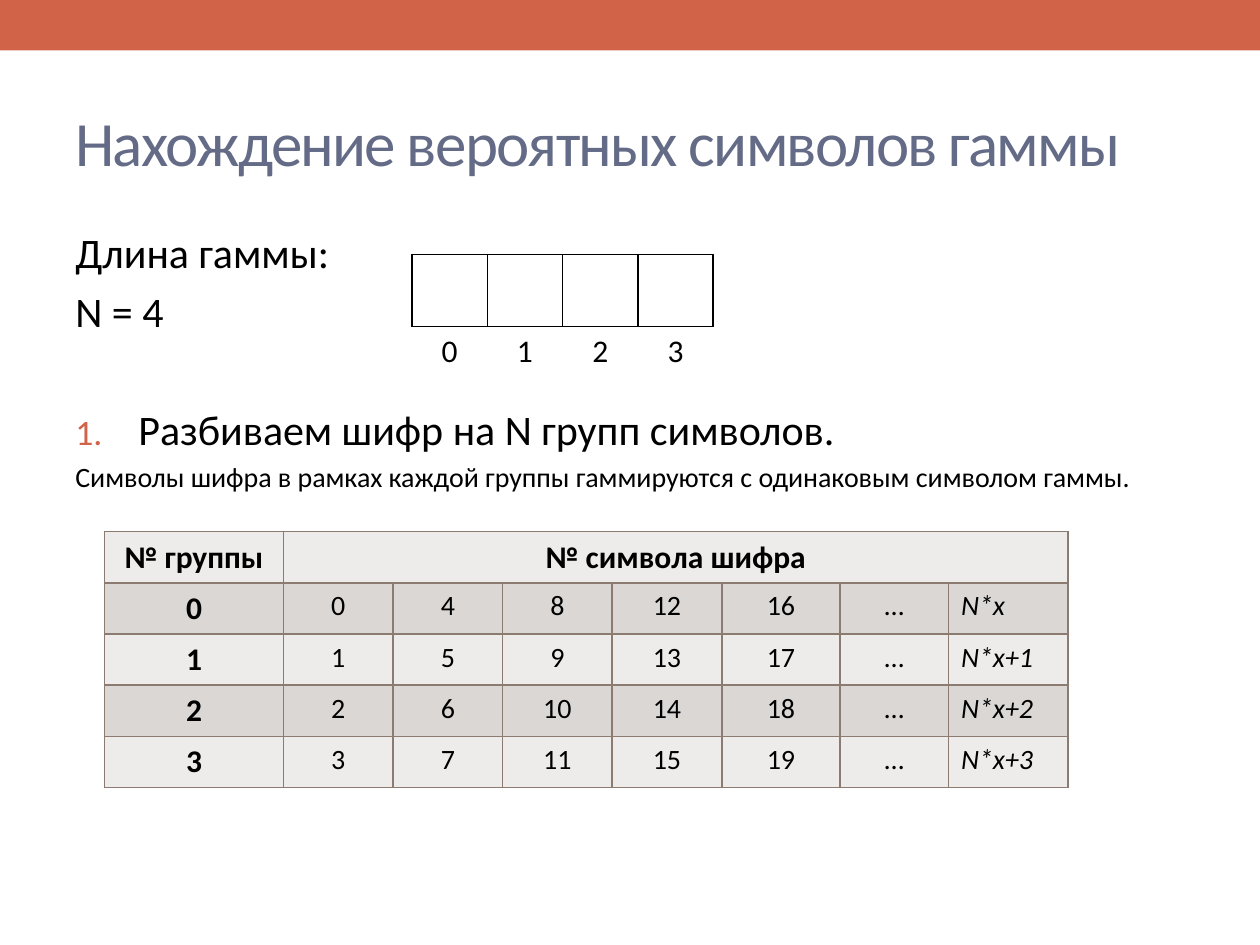
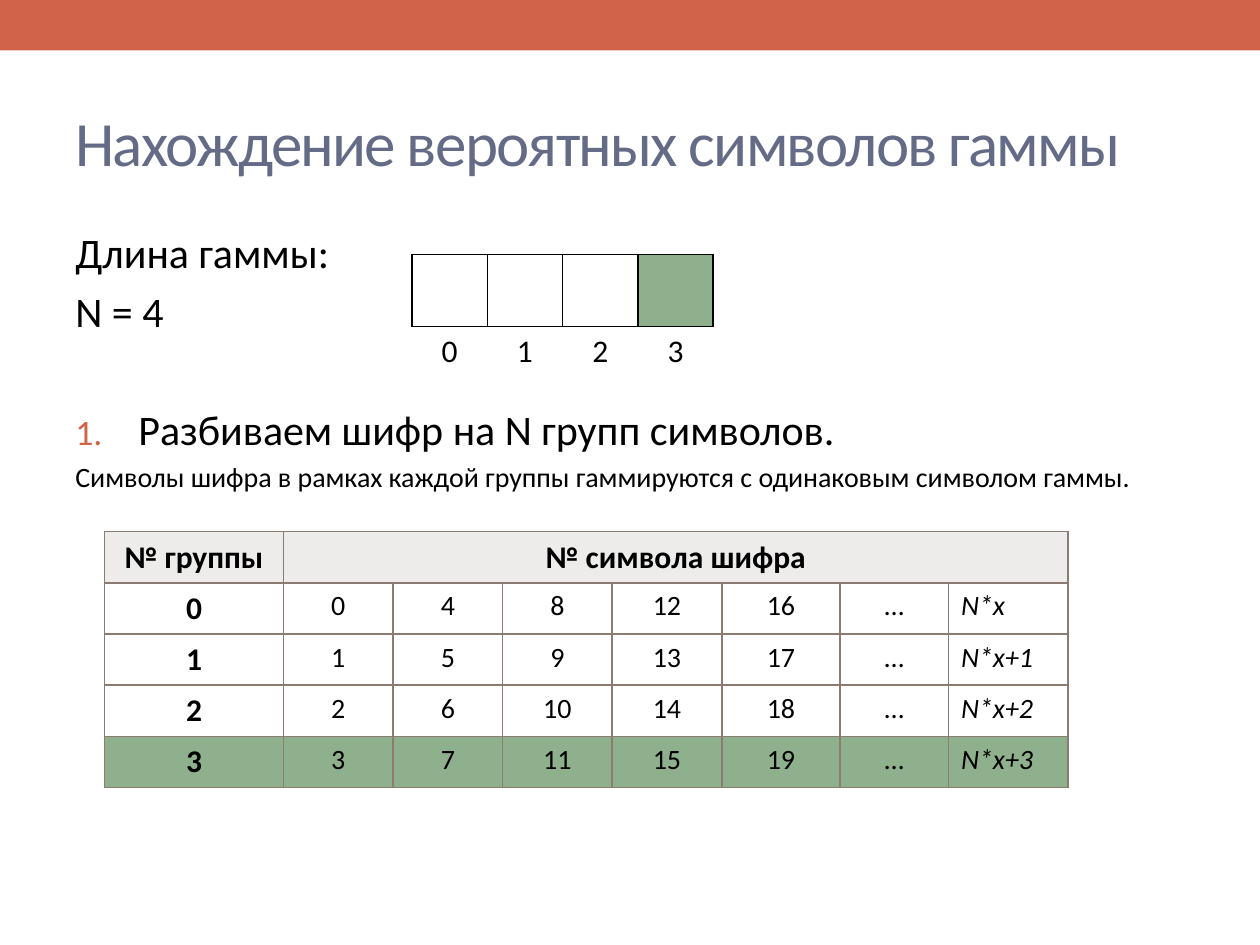
from lxml.etree import SubElement
from pptx import Presentation
from pptx.dml.color import RGBColor
from pptx.enum.shapes import MSO_SHAPE as Preset
from pptx.enum.text import MSO_ANCHOR as Anchor, PP_ALIGN as Align
from pptx.oxml import parse_xml
from pptx.oxml.ns import qn
from pptx.util import Inches, Pt

WIDTH, HEIGHT = Inches(10), Inches(7.5)
COLUMNS = 100
FONT = "Calibri"
NO_GRID_STYLE = "{2D5ABB26-0587-4C30-8999-92F81FD0307C}"
DRAWING_NS = "http://schemas.openxmlformats.org/drawingml/2006/main"

BLACK = RGBColor(0x00, 0x00, 0x00)
ACCENT = RGBColor(0xD1, 0x63, 0x49)
TITLE_BLUE = RGBColor(0x64, 0x6B, 0x86)
GRID_BROWN = RGBColor(0x8C, 0x7B, 0x70)
LIGHT_BAND = RGBColor(0xEE, 0xEC, 0xEB)
DARK_BAND = RGBColor(0xDA, 0xD7, 0xD5)
HIGHLIGHT = RGBColor(0x8F, 0xB0, 0x8C)

GAMMA_LENGTH = 4
SYMBOLS_SHOWN = 5
GROUP_COLUMNS = [14.2, 8.7, 8.7, 8.7, 8.7, 9.4, 8.6, 9.5]
PLAIN_BANDS = [None] * GAMMA_LENGTH


def units(count):
    return round(WIDTH * count / COLUMNS)


def place(*counts):
    return [units(count) for count in counts]


def write(frame, text, size=18, color=BLACK, bold=False, italic=False,
          align=Align.LEFT, before=0, spacing=None, number=None):
    paragraph = frame.paragraphs[0]
    if paragraph.runs:
        paragraph = frame.add_paragraph()
    paragraph.alignment = align
    paragraph.space_before = Pt(before)
    run = paragraph.add_run()
    run.text = text
    run.font.name = FONT
    run.font.size = Pt(size)
    run.font.color.rgb = color
    run.font.bold = bold
    run.font.italic = italic
    if spacing is not None:
        run.font._element.set("spc", str(round(spacing * 100)))
    if number is not None:
        number_paragraph(paragraph, number)


def number_paragraph(paragraph, number):
    properties = paragraph._p.get_or_add_pPr()
    properties.set("marL", str(units(5)))
    properties.set("indent", str(units(-5)))
    tint = SubElement(properties, qn("a:buClr"))
    SubElement(tint, qn("a:srgbClr"), val=str(ACCENT))
    SubElement(properties, qn("a:buSzPct"), val="85000")
    SubElement(properties, qn("a:buFont"), typeface=FONT)
    SubElement(properties, qn("a:buAutoNum"), type="arabicPeriod",
               startAt=str(number))


def add_text_area(slide, area, anchor=Anchor.TOP):
    frame = slide.shapes.add_textbox(*place(*area)).text_frame
    frame.word_wrap = True
    frame.vertical_anchor = anchor
    return frame


def add_grid(slide, left, top, columns, rows):
    area = place(left, top, sum(columns), sum(rows))
    grid = slide.shapes.add_table(len(rows), len(columns), *area).table
    grid.first_row = grid.horz_banding = False
    grid._tbl.tblPr.find(qn("a:tableStyleId")).text = NO_GRID_STYLE
    for column, width in zip(grid.columns, columns):
        column.width = units(width)
    for row, height in zip(grid.rows, rows):
        row.height = units(height)
    return grid


def style_cell(cell, fill, border, sides="LRTB"):
    if fill is None:
        cell.fill.background()
    else:
        cell.fill.solid()
        cell.fill.fore_color.rgb = fill
    properties = cell._tc.get_or_add_tcPr()
    for position, side in enumerate(sides):
        properties.insert(position, parse_xml(
            f'<a:ln{side} xmlns:a="{DRAWING_NS}" w="12700"><a:solidFill>'
            f'<a:srgbClr val="{border}"/></a:solidFill></a:ln{side}>'))


def add_header(slide):
    band = slide.shapes.add_shape(Preset.RECTANGLE, *place(0, 0, COLUMNS, 4))
    band.shadow.inherit = False
    band.fill.solid()
    band.fill.fore_color.rgb = ACCENT
    band.line.fill.background()
    title = add_text_area(slide, (5, 5.8, 90, 10.8), Anchor.MIDDLE)
    write(title, "Нахождение вероятных символов гаммы", size=36,
          color=TITLE_BLUE, spacing=-1)


def add_explanation(slide):
    body = add_text_area(slide, (5, 17.5, 90, 53.3))
    write(body, "Длина гаммы:", size=24, before=4.8)
    write(body, f"N = {GAMMA_LENGTH}", size=24, before=4.8)
    write(body, "Разбиваем шифр на N групп символов.", size=24,
          before=38.9, number=1)
    write(body, "Символы шифра в рамках каждой группы гаммируются "
          "с одинаковым символом гаммы.", size=16, before=3.2)


def add_gamma(slide, fills):
    gamma = add_grid(slide, 32.7, 20.2, [5.98] * GAMMA_LENGTH, [5.7] * 2)
    for index, fill in enumerate(fills):
        style_cell(gamma.cell(0, index), fill, BLACK)
        label = gamma.cell(1, index)
        style_cell(label, None, BLACK, sides="T")
        write(label.text_frame, str(index), align=Align.CENTER)


def add_groups(slide, fills):
    groups = add_grid(slide, 8.3, 42.2, GROUP_COLUMNS,
                      [4.06] * (GAMMA_LENGTH + 1))
    last = len(GROUP_COLUMNS) - 1
    groups.cell(0, 1).merge(groups.cell(0, last))
    for row, fill in enumerate([LIGHT_BAND, *fills]):
        for column in range(last + 1):
            style_cell(groups.cell(row, column), fill, GRID_BROWN)
    for column, heading in enumerate(["№ группы", "№ символа шифра"]):
        cell = groups.cell(0, column)
        cell.vertical_anchor = Anchor.MIDDLE
        write(cell.text_frame, heading, bold=True, align=Align.CENTER)
    for group in range(GAMMA_LENGTH):
        symbols = [str(group + GAMMA_LENGTH * step)
                   for step in range(SYMBOLS_SHOWN)]
        formula = f"N*x+{group}" if group else "N*x"
        for column, text in enumerate([str(group), *symbols, "…", formula]):
            is_group, is_formula = column == 0, column == last
            write(groups.cell(group + 1, column).text_frame, text,
                  size=18 if is_group else 16, bold=is_group,
                  italic=is_formula,
                  align=Align.LEFT if is_formula else Align.CENTER)


def add_gamma_slide(deck, gamma_fills, group_fills):
    slide = deck.slides.add_slide(deck.slide_layouts[6])
    add_header(slide)
    add_explanation(slide)
    add_gamma(slide, gamma_fills)
    add_groups(slide, group_fills)


def main():
    deck = Presentation()
    deck.slide_width, deck.slide_height = WIDTH, HEIGHT
    last_group = PLAIN_BANDS[:-1] + [HIGHLIGHT]
    add_gamma_slide(deck, PLAIN_BANDS, [DARK_BAND, LIGHT_BAND] * 2)
    add_gamma_slide(deck, last_group, last_group)
    deck.save("out.pptx")


main()
